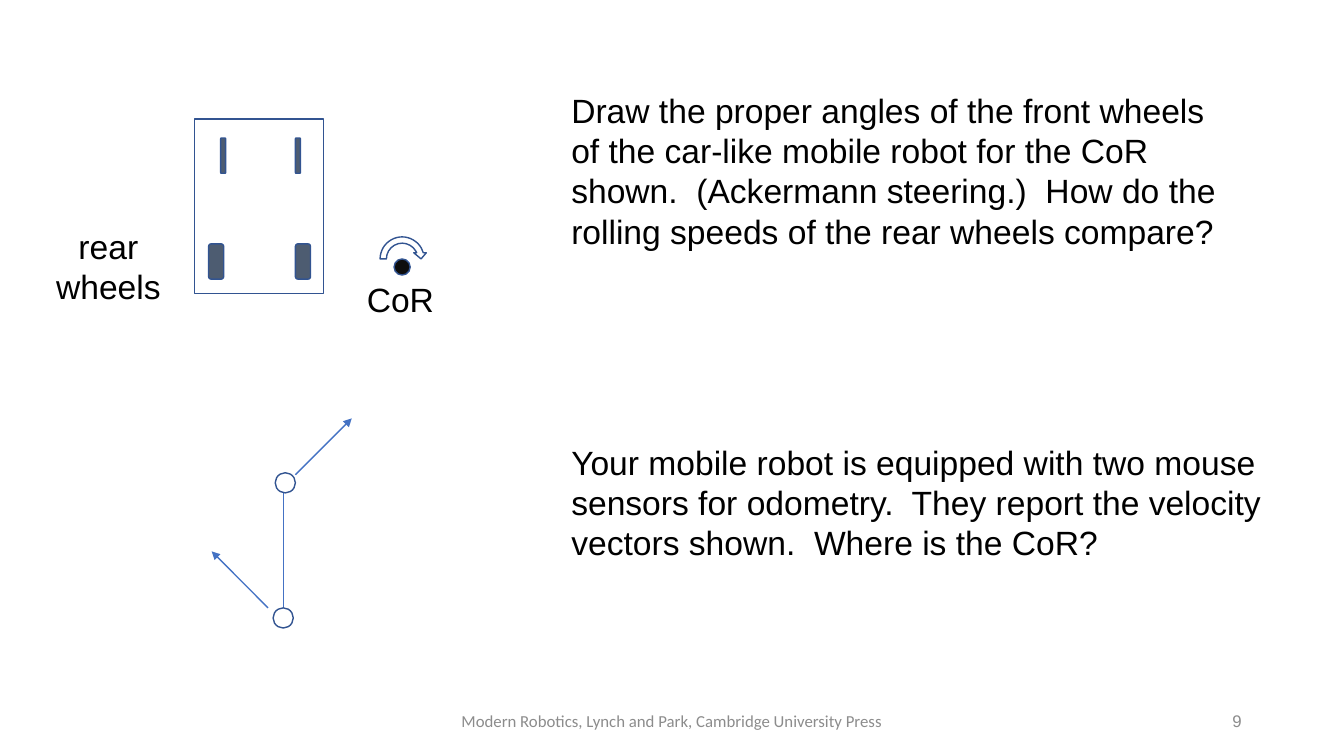
from dataclasses import dataclass

from lxml import etree
from pptx import Presentation
from pptx.dml.color import RGBColor
from pptx.enum.shapes import MSO_CONNECTOR, MSO_SHAPE
from pptx.enum.text import MSO_ANCHOR, MSO_AUTO_SIZE, PP_ALIGN
from pptx.oxml.ns import qn
from pptx.util import Pt

LEFT, MID, RIGHT = PP_ALIGN.LEFT, PP_ALIGN.CENTER, PP_ALIGN.RIGHT
RECT, ROUND = MSO_SHAPE.RECTANGLE, MSO_SHAPE.ROUNDED_RECTANGLE
OVAL, TURN = MSO_SHAPE.OVAL, MSO_SHAPE.CIRCULAR_ARROW
STRAIGHT = MSO_CONNECTOR.STRAIGHT
MIDDLE, GROW = MSO_ANCHOR.MIDDLE, MSO_AUTO_SIZE.SHAPE_TO_FIT_TEXT


@dataclass
class Theme:
    white: str = "FFFFFF"
    black: str = "000000"
    wheel: str = "44546A"
    edge: str = "325491"
    arrow: str = "4472C4"
    muted: str = "8C8C8C"
    font: str = "Arial"
    foot: str = "Calibri"
    body: int = 24
    small: int = 12


theme = Theme()
deck = Presentation()
deck.slide_width, deck.slide_height = Pt(960), Pt(540)
slide = deck.slides.add_slide(deck.slide_layouts[6])
shapes = slide.shapes


def add_form(kind, box, fill, alpha=95):
    """Add an outlined shape; alpha is its opacity in percent."""
    form = shapes.add_shape(kind, *map(Pt, box))
    form.shadow.inherit = False
    form.fill.solid()
    form.fill.fore_color.rgb = RGBColor.from_string(fill)
    form.line.color.rgb = RGBColor.from_string(theme.edge)
    form.line.width = Pt(1)
    if alpha < 100:
        color = form._element.spPr.find(qn("a:solidFill"))[0]
        etree.SubElement(color, qn("a:alpha"), val=str(alpha * 1000))


def add_text(box, text, align, size, color, font):
    area = shapes.add_textbox(*map(Pt, box))
    frame = area.text_frame
    frame.text = text
    for para in frame.paragraphs:
        para.alignment = align
        for run in para.runs:
            run.font.name = font
            run.font.size = Pt(size)
            run.font.color.rgb = RGBColor.from_string(color)
    return frame


# Footer
for box, text, align, font in (
    ((318, 500.4, 324, 28.8),
     "Modern Robotics, Lynch and Park, Cambridge University Press",
     MID, theme.foot),
    ((678, 500.4, 216, 28.8), "9", RIGHT, theme.font),
):
    frame = add_text(box, text, align, theme.small, theme.muted, font)
    frame.word_wrap = True
    frame.vertical_anchor = MIDDLE

# Car with its wheels and centre of rotation
add_form(RECT, (139, 85, 92.2, 124.5), theme.white)
for left, top, width in (
    (149, 174.2, 10.8), (211, 174.2, 10.8),
    (157.6, 98.6, 3.6), (211, 98.6, 3.6),
):
    add_form(ROUND, (left, top, width, 25.2), theme.wheel)
add_form(OVAL, (281.5, 185, 11.5, 11.5), theme.black)
add_form(TURN, (269.3, 167, 36, 36), theme.white)

# Labels and questions
for box, text, align in (
    ((32.4, 157.7, 90, 65.5), "rear\nwheels", MID),
    ((254.9, 195.8, 63.4, 36), "CoR", LEFT),
    ((401, 60.5, 479.5, 123.8),
     "Draw the proper angles of the front wheels\n"
     "of the car-like mobile robot for the CoR\n"
     "shown.  (Ackermann steering.)  How do the\n"
     "rolling speeds of the rear wheels compare?", LEFT),
    ((401, 311.8, 518.4, 94.3),
     "Your mobile robot is equipped with two mouse\n"
     "sensors for odometry.  They report the velocity\n"
     "vectors shown.  Where is the CoR?", LEFT),
):
    frame = add_text(box, text, align, theme.body, theme.black, theme.font)
    frame.word_wrap = False
    frame.auto_size = GROW

# Link between the mouse sensors, then their velocity vectors
for ends, width, head in (
    ((202.3, 345, 202.3, 441.4), 0.5, False),
    ((211, 339.1, 251.3, 298.8), 1, True),
    ((191.5, 434.2, 151.2, 393.8), 1, True),
):
    link = shapes.add_connector(STRAIGHT, *map(Pt, ends))
    link.line.color.rgb = RGBColor.from_string(theme.arrow)
    link.line.width = Pt(width)
    if head:
        line = link.line._get_or_add_ln()
        etree.SubElement(line, qn("a:tailEnd"), type="triangle")
    etree.SubElement(link._element.spPr, qn("a:effectLst"))

# Mouse sensors
for left, top in ((195.1, 434.2), (196.6, 337.7)):
    add_form(OVAL, (left, top, 14.4, 14.4), theme.white, 100)

deck.save("out.pptx")
